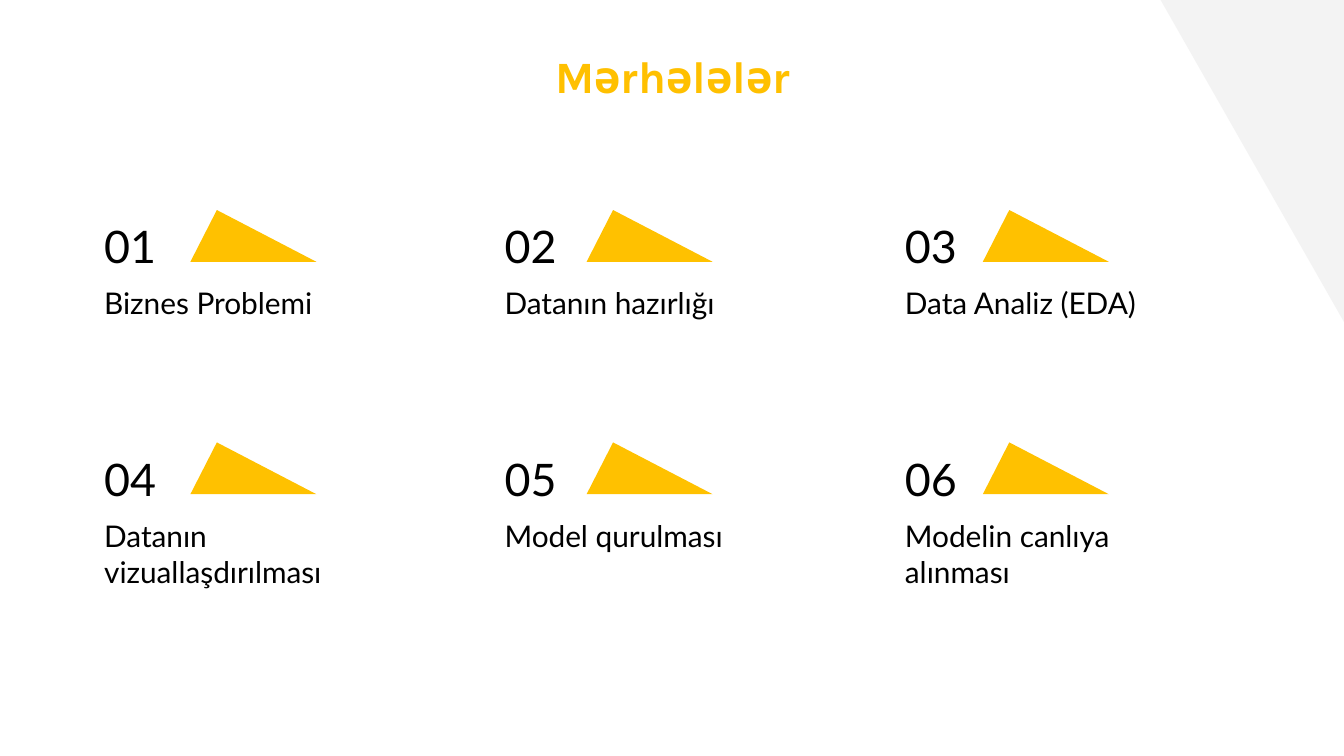
import dataclasses

import pptx
import pptx.dml.color
import pptx.enum.shapes
import pptx.enum.text
import pptx.util

PX = 9525  # EMU in one px, 96 px to the inch
WIDE, HIGH = 960, 540
SHAPE = pptx.enum.shapes.MSO_SHAPE
ALIGN = pptx.enum.text.PP_ALIGN
ANCHOR = pptx.enum.text.MSO_ANCHOR


@dataclasses.dataclass(frozen=True)
class Theme:
    gold: str = "FFC100"
    title: str = "FFC000"
    ink: str = "000000"
    pale: str = "F3F3F3"
    paper: str = "FFFFFF"
    head: str = "Karla"
    body: str = "Lato"
    large: int = 24
    small: int = 16


THEME = Theme()
STAGES = [
    "Biznes Problemi", "Datanın hazırlığı", "Data Analiz (EDA)",
    "Datanın vizuallaşdırılması", "Model qurulması", "Modelin canlıya alınması",
]


def scale(box):
    return [n * PX for n in box]


def color(code):
    return pptx.dml.color.RGBColor.from_string(code)


def text(slide, box, words, size=THEME.small, font=THEME.body, ink=THEME.ink,
         bold=False, align=ALIGN.LEFT, anchor=ANCHOR.TOP, after=0):
    frame = slide.shapes.add_textbox(*scale(box)).text_frame
    frame.word_wrap = True
    frame.vertical_anchor = anchor
    frame.margin_left = frame.margin_right = pptx.util.Inches(0.1)
    frame.margin_top = frame.margin_bottom = pptx.util.Inches(0.1)
    para = frame.paragraphs[0]
    para.alignment = align
    para.space_after = pptx.util.Pt(after)
    run = para.add_run()
    run.text = words
    run.font.name = font
    run.font.size = pptx.util.Pt(size)
    run.font.bold = bold
    run.font.color.rgb = color(ink)


def shape(slide, kind, box, fill):
    part = slide.shapes.add_shape(kind, *scale(box))
    part.shadow.inherit = False
    part.fill.solid()
    part.fill.fore_color.rgb = color(fill)
    part.line.fill.background()
    return part


def corner(slide, box):
    # Right angle turned to the top right
    shape(slide, SHAPE.RIGHT_TRIANGLE, box, THEME.pale).rotation = 180


def title(slide, box):
    text(slide, box, "Mərhələlər", size=THEME.large, font=THEME.head,
         ink=THEME.title, bold=True, align=ALIGN.CENTER)


def stage(slide, box, num, label, inset):
    left, top, wide, _ = box
    # Accent beside the number
    mark = shape(slide, SHAPE.ISOSCELES_TRIANGLE,
                 (left + inset, top, 90, 37), THEME.gold)
    mark.adjustments[0] = 0.21
    # Number and label
    text(slide, (left, top + 7, 113, 37), f"{num:02}",
         size=THEME.large, anchor=ANCHOR.MIDDLE)
    text(slide, (left, top + 44, wide, 37), label, after=16)


def grid(slide, box, cols=3, rows=2):
    left, top, wide, high = box
    cell, gap = 227, 84
    step = (wide - cell) // (cols - 1)
    tall = (high - gap * (rows - 1)) // rows
    for i, label in enumerate(STAGES):
        row, col = divmod(i, cols)
        place = (left + col * step, top + row * (tall + gap), cell, tall)
        # Accents sit on a slightly tighter pitch than the text
        stage(slide, place, i + 1, label, 71 - 3 * col)


def main():
    deck = pptx.Presentation()
    deck.slide_width, deck.slide_height = scale((WIDE, HIGH))
    slide = deck.slides.add_slide(deck.slide_layouts[6])
    slide.background.fill.solid()
    slide.background.fill.fore_color.rgb = color(THEME.paper)
    corner(slide, (829, 0, 131, 230))
    title(slide, (55, 25, 851, 60))
    grid(slide, (65, 150, 799, 248))
    deck.save("out.pptx")


if __name__ == "__main__":
    main()
